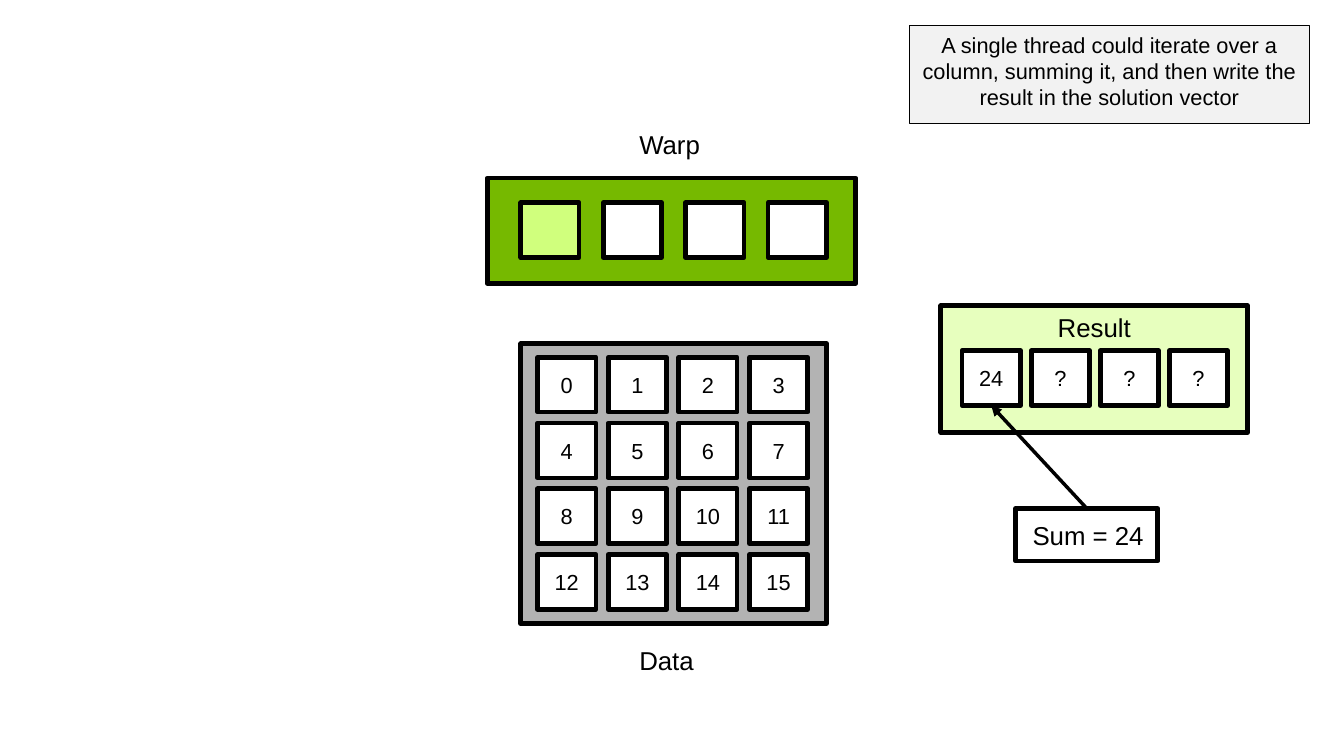
"""Build a slide on one warp thread summing a data column into the result vector."""
from dataclasses import dataclass

from lxml import etree
from pptx import Presentation
from pptx import util as u
from pptx.dml.color import RGBColor
from pptx.enum import shapes, text
from pptx.oxml import ns

COLOURS = {
    "ink": "000000",
    "blank": "FFFFFF",
    "note": "F2F2F2",
    "warp": "76B900",
    "active": "D0FF7D",
    "data": "B3B3B3",
    "result": "E7FFBE",
}
FONT = "Arial"
BODY_SIZE = 14
LABEL_SIZE = 16.6
CELL_WIDTH = 37.5
CELL_HEIGHT = 35.3
TOP = text.MSO_ANCHOR.TOP
MIDDLE = text.MSO_ANCHOR.MIDDLE
LEFT = text.PP_ALIGN.LEFT
CENTER = text.PP_ALIGN.CENTER


@dataclass
class Box:
    left: float
    top: float
    width: float
    height: float
    fill: str | None = None
    line: float = 3
    label: str = ""
    size: float = BODY_SIZE
    anchor: text.MSO_ANCHOR = TOP
    align: text.PP_ALIGN = CENTER
    inset: float = 7.2


@dataclass
class Grid:
    left: float
    top: float
    rows: list[list[str]]
    step_x: float
    step_y: float = 0
    first_fill: str = "blank"


def colour(name: str) -> RGBColor:
    """Return the named colour."""
    return RGBColor.from_string(COLOURS[name])


def write(frame, box: Box) -> None:
    """Set the label of a box in its text frame."""
    frame.word_wrap = True
    frame.vertical_anchor = box.anchor
    frame.margin_left = frame.margin_right = u.Pt(box.inset)
    frame.margin_top = frame.margin_bottom = u.Pt(3.6)
    frame.text = box.label
    paragraph = frame.paragraphs[0]
    paragraph.alignment = box.align
    for run in paragraph.runs:
        run.font.name = FONT
        run.font.size = u.Pt(box.size)
        run.font.color.rgb = colour("ink")


def draw_box(slide, box: Box):
    """Draw an outlined rectangle with its label."""
    shape = slide.shapes.add_shape(
        shapes.MSO_SHAPE.RECTANGLE,
        u.Pt(box.left), u.Pt(box.top), u.Pt(box.width), u.Pt(box.height),
    )
    shape.shadow.inherit = False
    if box.fill:
        shape.fill.solid()
        shape.fill.fore_color.rgb = colour(box.fill)
    else:
        shape.fill.background()
    shape.line.color.rgb = colour("ink")
    shape.line.width = u.Pt(box.line)
    if box.label:
        write(shape.text_frame, box)
    return shape


def draw_caption(slide, box: Box) -> None:
    """Draw a plain text box."""
    shape = slide.shapes.add_textbox(
        u.Pt(box.left), u.Pt(box.top), u.Pt(box.width), u.Pt(box.height)
    )
    write(shape.text_frame, box)


def draw_grid(slide, grid: Grid) -> list:
    """Draw evenly spaced cells and return them in reading order."""
    cells = []
    for row, labels in enumerate(grid.rows):
        for column, label in enumerate(labels):
            cells.append(draw_box(slide, Box(
                grid.left + column * grid.step_x,
                grid.top + row * grid.step_y,
                CELL_WIDTH, CELL_HEIGHT,
                "blank" if cells else grid.first_fill,
                label=label, anchor=MIDDLE, inset=0,
            )))
    return cells


def draw_arrow(slide, source, target) -> None:
    """Join the top of the source to the bottom of the target."""
    arrow = slide.shapes.add_connector(shapes.MSO_CONNECTOR.STRAIGHT, 0, 0, 0, 0)
    arrow.begin_connect(source, 0)
    arrow.end_connect(target, 2)
    arrow.line.color.rgb = colour("ink")
    arrow.line.width = u.Pt(2.25)
    etree.SubElement(arrow.line._get_or_add_ln(), ns.qn("a:tailEnd"), type="triangle")
    etree.SubElement(arrow._element.spPr, ns.qn("a:effectLst"))


def main() -> None:
    """Build and save the slide."""
    presentation = Presentation()
    presentation.slide_width = u.Pt(864)
    presentation.slide_height = u.Pt(486)
    slide = presentation.slides.add_slide(presentation.slide_layouts[6])

    draw_box(slide, Box(
        584.8, 16.6, 257, 62.6, "note", 0.75,
        "A single thread could iterate over a column, summing it, "
        "and then write the result in the solution vector",
    ))

    draw_caption(slide, Box(403.9, 79.2, 57, 27.4, label="Warp", size=LABEL_SIZE, align=LEFT))
    draw_box(slide, Box(313.2, 114.5, 237, 67.7, "warp"))
    draw_grid(slide, Grid(334.8, 130.3, [[""] * 4], 53, first_fill="active"))

    draw_box(slide, Box(334.8, 221, 196.6, 180, "data"))
    numbers = [[str(4 * row + column) for column in range(4)] for row in range(4)]
    draw_grid(slide, Grid(345.6, 229.7, numbers, 45.4, 42.25))
    draw_caption(slide, Box(403.9, 411.1, 57, 27.4, label="Data", size=LABEL_SIZE, align=LEFT))

    draw_box(slide, Box(604.8, 196.6, 197.3, 81.4, "result", label="Result", size=LABEL_SIZE))
    results = draw_grid(slide, Grid(618.5, 225.4, [["24", "?", "?", "?"]], 44.4))

    total = draw_box(slide, Box(
        653, 326.9, 91.4, 33.8, label="Sum = 24", size=LABEL_SIZE,
        anchor=MIDDLE, align=LEFT, inset=10.8,
    ))
    total.text_frame.margin_right = 0
    draw_arrow(slide, total, results[0])

    presentation.save("out.pptx")


if __name__ == "__main__":
    main()
